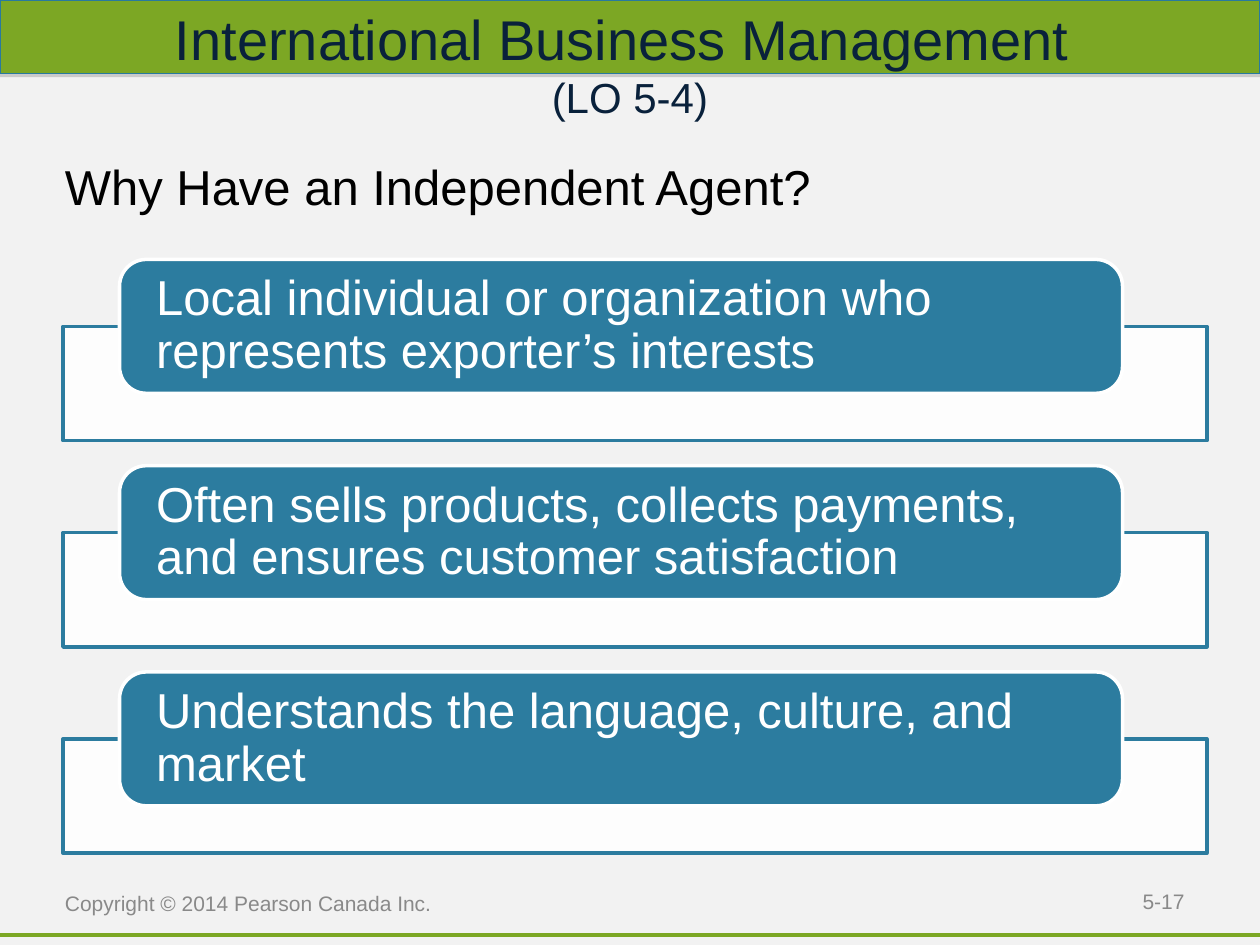
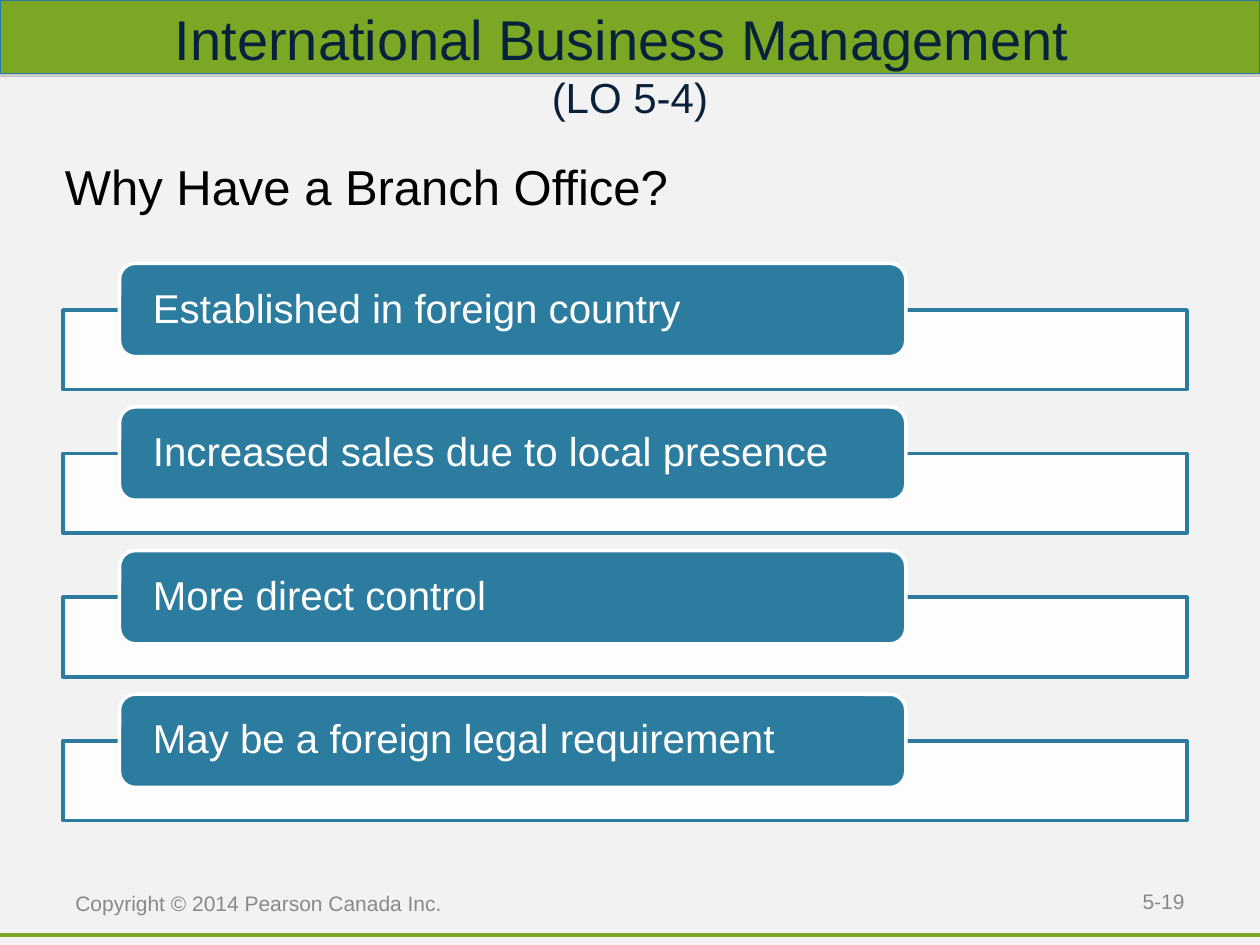
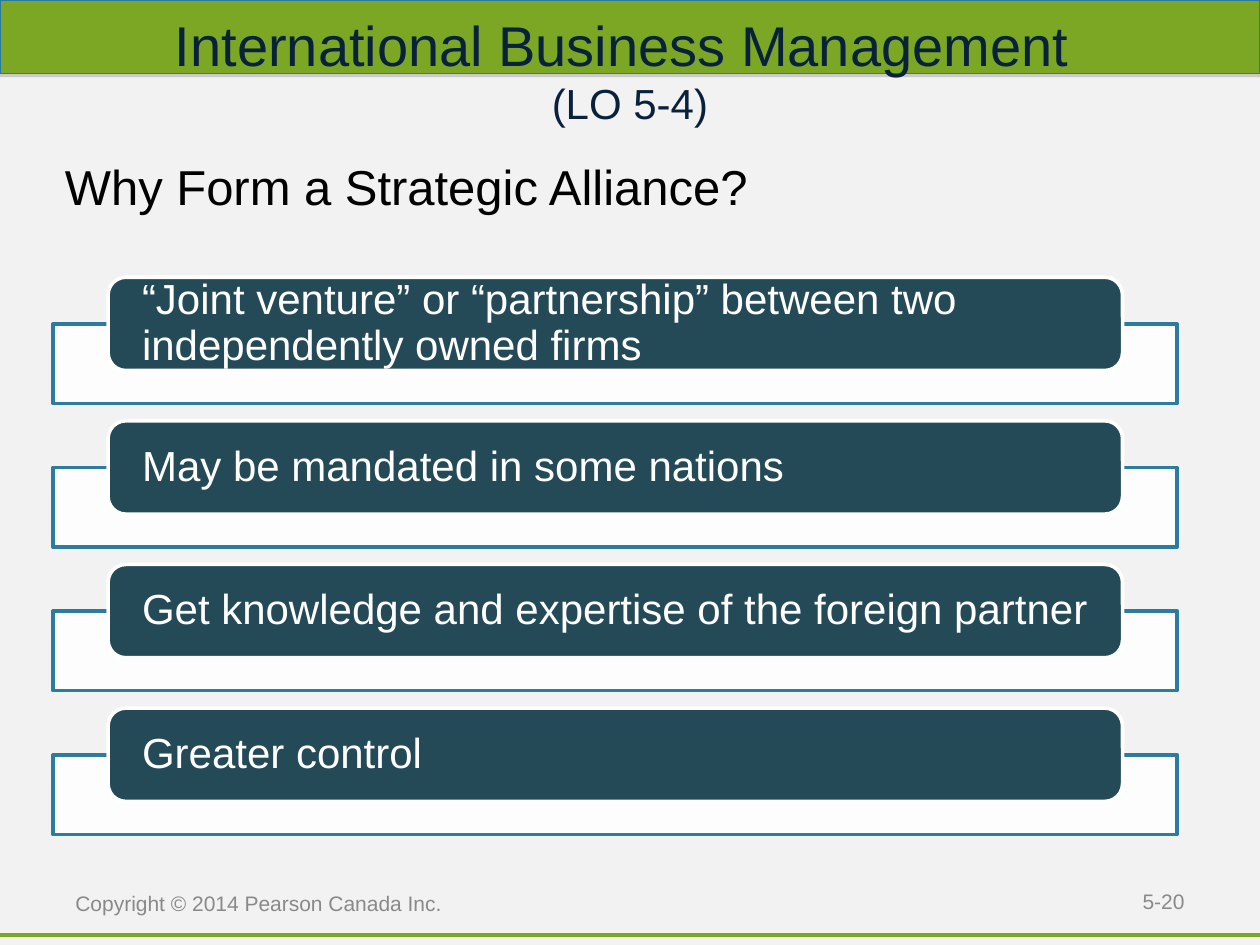
from lxml import etree
from pptx import Presentation
from pptx.dml.color import RGBColor
from pptx.enum.shapes import MSO_CONNECTOR as CONN, MSO_SHAPE as SHAPE
from pptx.enum.text import MSO_ANCHOR as ANCHOR, PP_ALIGN as ALIGN
from pptx.oxml.ns import qn
from pptx.util import Cm, Pt

COLORS = {
    "page": "F2F2F2", "band": "7CA724", "band_edge": "287A9E",
    "title": "09213B", "black": "000000", "white": "FFFFFF",
    "grey": "898989", "shadow": "808080", "blue": "2C7C9F", "teal": "244A58",
}
FONT = "Arial"
WIDTH, HEIGHT = 25.4, 19.05
STRIP_RATIO, PITCH_RATIO = 0.854, 1.54

SLIDES = [
    {"heading": "Why Have an Independent Agent?", "number": "5-17",
     "footer_left": 1.06,
     "rows": {"strip": (1.27, 23.06), "card": (2.41, 5.23, 20.22, 2.7),
              "color": "blue", "size": 28, "corner": 0.2,
              "texts": ["Local individual or organization who represents exporter’s interests",
                        "Often sells products, collects payments, and ensures customer satisfaction",
                        "Understands the language, culture, and market"]}},
    {"heading": "Why Have a Branch Office?", "number": "5-19",
     "rows": {"strip": (1.27, 22.66), "card": (2.41, 5.31, 15.85, 1.88),
              "color": "blue", "size": 23, "corner": 0.17,
              "texts": ["Established in foreign country",
                        "Increased sales due to local presence",
                        "More direct control",
                        "May be a foreign legal requirement"]}},
    {"heading": "Why Form a Strategic Alliance?", "number": "5-20",
     "title_height": 3.81, "title_bottom": 1.65,
     "rows": {"strip": (1.07, 22.66), "card": (2.18, 5.59, 20.45, 1.88),
              "color": "teal", "size": 24, "corner": 0.19,
              "texts": ["“Joint venture” or “partnership” between two independently owned firms",
                        "May be mandated in some nations",
                        "Get knowledge and expertise of the foreign partner",
                        "Greater control"]}},
]


def rgb(name):
    """Return the named colour."""
    return RGBColor.from_string(COLORS[name])


def set_all(obj, values):
    """Set every attribute in values on obj."""
    for name, value in values.items():
        setattr(obj, name, value)


def add_run(p, text, size, color):
    """Append a formatted run to a paragraph."""
    r = p.add_run()
    r.text = text
    set_all(r.font, {"name": FONT, "size": Pt(size)})
    r.font.color.rgb = rgb(color)


def format_frame(tf, anchor, insets):
    """Set wrapping, anchor and left, top, right, bottom insets."""
    set_all(tf, {"word_wrap": True, "vertical_anchor": anchor})
    sides = ("margin_left", "margin_top", "margin_right", "margin_bottom")
    set_all(tf, {side: Cm(inset) for side, inset in zip(sides, insets)})


def add_text(s, box, runs, align=ALIGN.LEFT, anchor=ANCHOR.MIDDLE,
             insets=(0.25, 0.13, 0.25, 0.13)):
    """Add a text box with one line per (text, size, colour) run."""
    tf = s.shapes.add_textbox(*map(Cm, box)).text_frame
    format_frame(tf, anchor, insets)
    p = tf.paragraphs[0]
    p.alignment = align
    for i, run in enumerate(runs):
        if i:
            p.add_line_break()
        add_run(p, *run)


def add_box(s, kind, box, fill, line, weight):
    """Add a filled, outlined shape without a shadow."""
    sp = s.shapes.add_shape(kind, *map(Cm, box))
    sp.shadow.inherit = False
    sp.fill.solid()
    sp.fill.fore_color.rgb = rgb(fill)
    sp.line.color.rgb = rgb(line)
    sp.line.width = Pt(weight)
    return sp


def add_alpha(color, percent):
    """Give a colour element an opacity."""
    etree.SubElement(color, qn("a:alpha"), val=str(percent * 1000))


def add_band(s):
    """Add the top band and its soft lower shadow."""
    sp = add_box(s, SHAPE.RECTANGLE, (0, 0, WIDTH, 1.48), "band", "band_edge", 0.75)
    effects = sp._element.spPr.find(qn("a:effectLst"))
    shadow = etree.SubElement(effects, qn("a:outerShdw"), dist=str(Pt(1.8)),
                              dir="5400000", rotWithShape="0")
    add_alpha(etree.SubElement(shadow, qn("a:srgbClr"), val=COLORS["shadow"]), 35)


def add_rule(s, y):
    """Add the full-width rule at the foot of the slide."""
    line = s.shapes.add_connector(CONN.STRAIGHT, 0, Cm(y), Cm(WIDTH), Cm(y))
    line.line.color.rgb = rgb("band")
    line.line.width = Pt(2)
    etree.SubElement(line._element.spPr, qn("a:effectLst"))


def add_frame(s, heading, number, footer_left=1.27, title_height=2.54, title_bottom=0.64):
    """Add the band, title, heading and footer."""
    add_rule(s, 18.85)
    add_band(s)
    add_text(s, (0, 0, WIDTH, title_height),
             [("International Business Management ", 32, "title"), ("(LO 5-4)", 24, "title")],
             ALIGN.CENTER, insets=(0.64, 0.64, 0.64, title_bottom))
    add_text(s, (1.06, 2.96, 23.28, 1.9), [(heading, 28, "black")],
             anchor=ANCHOR.TOP, insets=(0.25, 0.2, 0.25, 0.13))
    add_text(s, (18.21, 17.65, 5.92, 1.02), [(number, 12, "grey")], ALIGN.RIGHT)
    add_text(s, (footer_left, 17.35, 8.46, 1.7),
             [("Copyright © 2014 Pearson Canada Inc.", 12, "grey")])


def add_rows(s, strip, card, color, size, corner, texts):
    """Stack cards, each over a strip that starts at the card's middle."""
    left, top, width, height = card
    strip_left, strip_width = strip
    for i, text in enumerate(texts):
        y = top + i * height * PITCH_RATIO
        sp = add_box(s, SHAPE.RECTANGLE,
                     (strip_left, y + height / 2, strip_width, height * STRIP_RATIO),
                     "white", "blue", 2)
        add_alpha(sp._element.spPr.find(qn("a:solidFill"))[0], 90)
        sp = add_box(s, SHAPE.ROUNDED_RECTANGLE, (left, y, width, height), color, "white", 2)
        sp.adjustments[0] = corner
        format_frame(sp.text_frame, ANCHOR.MIDDLE, (0.58, 0, 0.4, 0))
        p = sp.text_frame.paragraphs[0]
        set_all(p, {"alignment": ALIGN.LEFT, "line_spacing": 0.9})
        add_run(p, text, size, "white")


def main():
    """Build and save the slides."""
    prs = Presentation()
    set_all(prs, {"slide_width": Cm(WIDTH), "slide_height": Cm(HEIGHT)})
    background = prs.slide_master.background.fill
    background.solid()
    background.fore_color.rgb = rgb("page")
    for content in SLIDES:
        s = prs.slides.add_slide(prs.slide_layouts[6])
        add_frame(s, **{key: value for key, value in content.items() if key != "rows"})
        add_rows(s, **content["rows"])
    prs.save("out.pptx")


if __name__ == "__main__":
    main()
